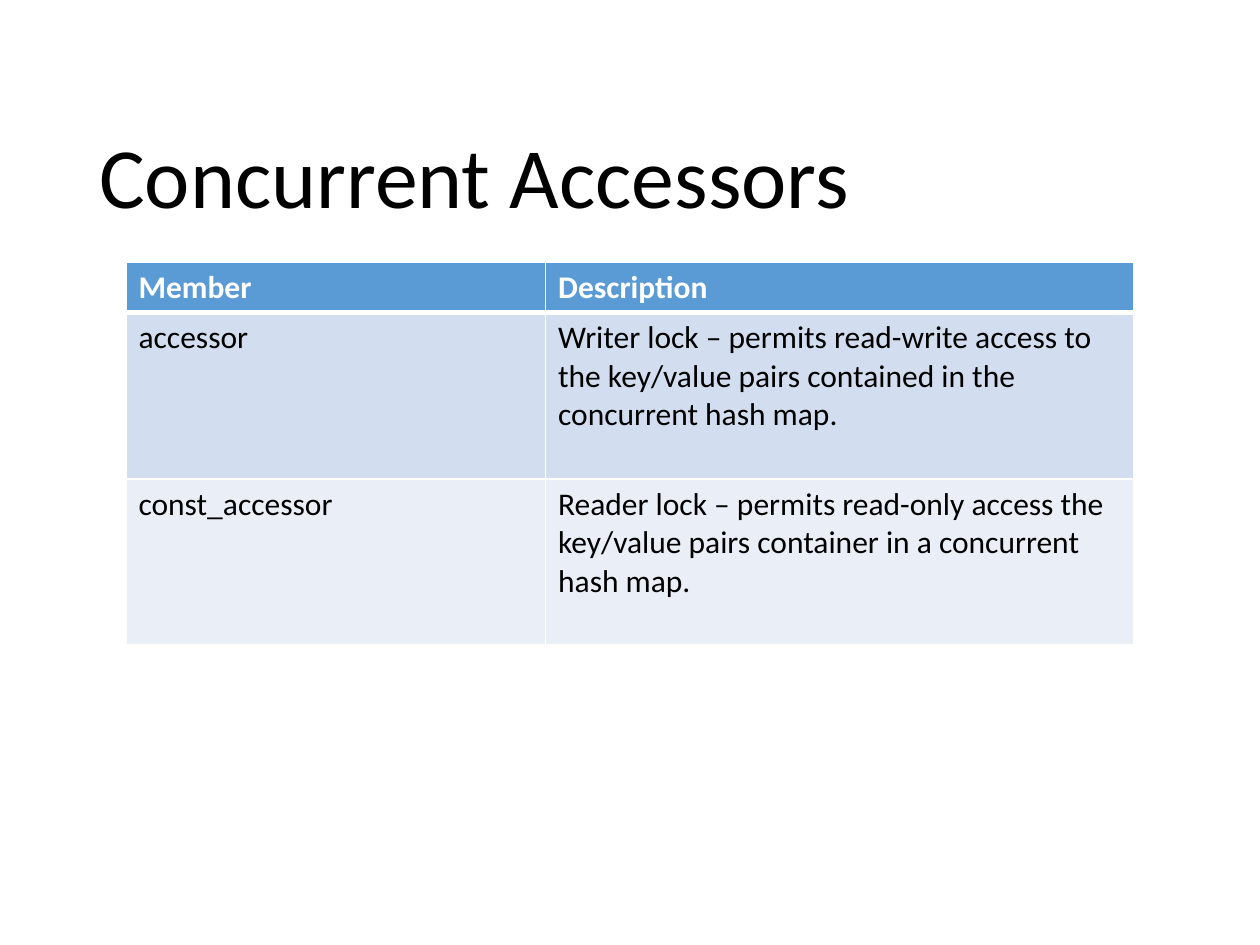
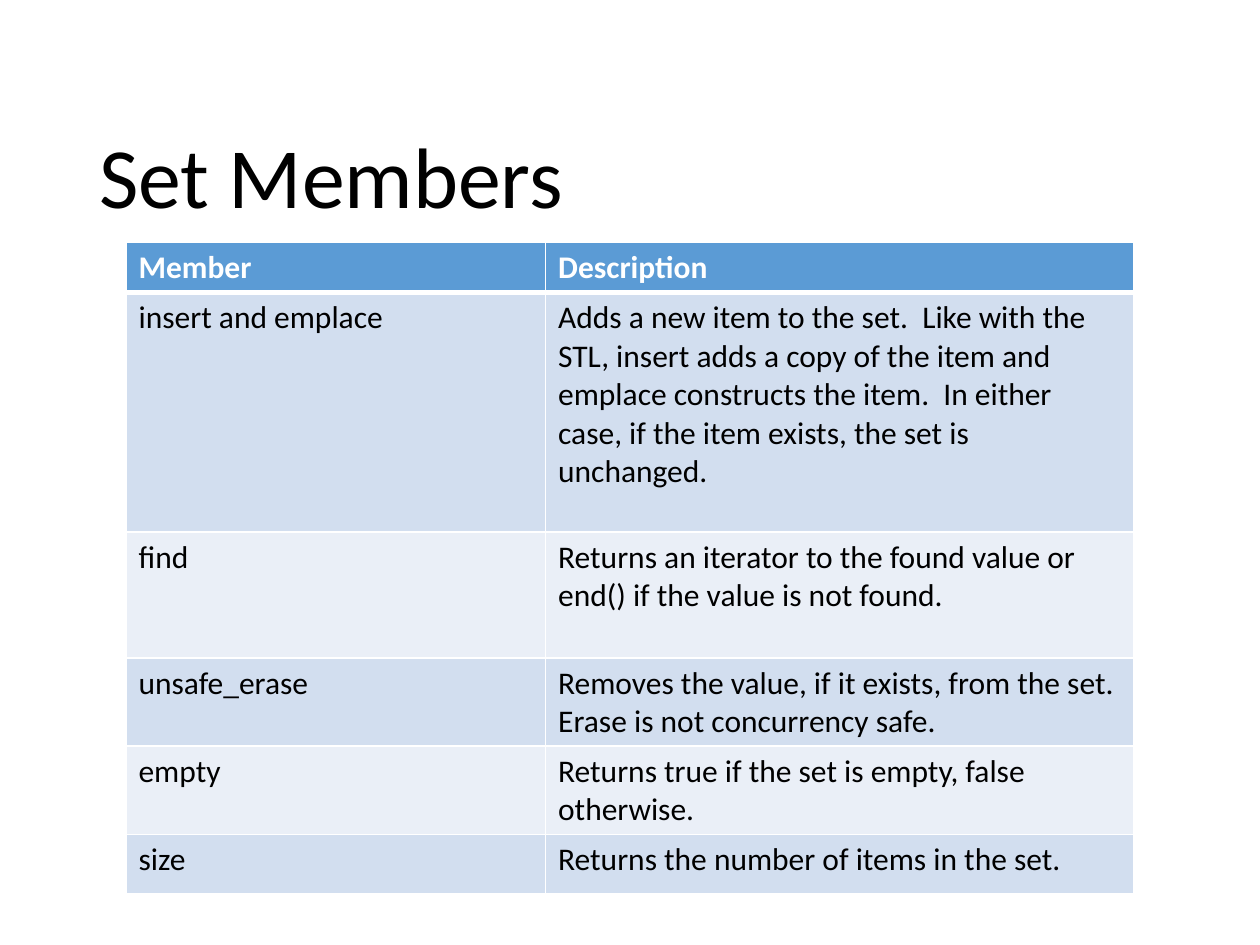
from lxml import etree
from pptx import Presentation
from pptx import util as u
from pptx.dml.color import RGBColor
from pptx.enum import text
from pptx.oxml import ns

WHITE, BLACK, BLUE = "FFFFFF", "000000", "5B9BD5"
BANDS = ("D2DEEF", "EAEFF7")
TITLE = {"name": "Calibri", "size": u.Pt(49), "bold": False}
BODY = {"name": "Calibri", "size": u.Pt(18), "bold": False}
HEAD = {**BODY, "bold": True}
COLUMNS = (3.33, 4.67)


def rgb(value):
    return RGBColor.from_string(value)


def set_border(cell, side, width):
    """Draw a white line on one side (L, R, T or B); call before the cell fill."""
    ln = etree.SubElement(cell._tc.get_or_add_tcPr(), ns.qn(f"a:ln{side}"),
                          w=str(u.Pt(width)))
    fill = etree.SubElement(ln, ns.qn("a:solidFill"))
    etree.SubElement(fill, ns.qn("a:srgbClr"), val=WHITE)


class Deck:
    def __init__(self):
        self.prs = Presentation()
        self.prs.slide_width, self.prs.slide_height = u.Inches(10), u.Inches(7.5)
        self.s = None

    def add_slide(self, title):
        self.s = self.prs.slides.add_slide(self.prs.slide_layouts[6])
        box = self.s.shapes.add_textbox(*map(u.Inches, (0.69, 0.4, 8.62, 1.45)))
        tf = box.text_frame
        tf.word_wrap = True
        tf.vertical_anchor = text.MSO_ANCHOR.BOTTOM
        tf.paragraphs[0].line_spacing = 0.9
        self.add_text(tf, title, TITLE, BLACK)

    def add_text(self, tf, words, style, color):
        r = tf.paragraphs[0].add_run()
        r.text = words
        for key, value in style.items():
            setattr(r.font, key, value)
        r.font.color.rgb = rgb(color)

    def add_member_table(self, top, members):
        """Each member is (name, description, row height in inches)."""
        rows = [("Member", "Description", 0.4), *members]
        height = sum(row[-1] for row in rows)
        table = self.s.shapes.add_table(
            len(rows), len(COLUMNS),
            *map(u.Inches, (1, top, sum(COLUMNS), height))).table
        for column, width in zip(table.columns, COLUMNS):
            column.width = u.Inches(width)
        for i, (*words, row_height) in enumerate(rows):
            table.rows[i].height = u.Inches(row_height)
            for j, word in enumerate(words):
                self.fill_cell(table.cell(i, j), i, word)

    def fill_cell(self, cell, row, words):
        header = row == 0
        widths = {"L": 1, "R": 1, "T": 3 if row == 1 else 1, "B": 3 if header else 1}
        for side, width in widths.items():
            set_border(cell, side, width)
        cell.fill.solid()
        cell.fill.fore_color.rgb = rgb(BLUE if header else BANDS[(row - 1) % 2])
        self.add_text(cell.text_frame, words, HEAD if header else BODY,
                      WHITE if header else BLACK)


def main():
    deck = Deck()

    deck.add_slide("Concurrent Accessors")
    deck.add_member_table(2.08, [
        ("accessor", "Writer lock – permits read-write access to the key/value "
         "pairs contained in the concurrent hash map.", 1.32),
        ("const_accessor", "Reader lock – permits read-only access the key/value "
         "pairs container in a concurrent hash map.", 1.32),
    ])

    deck.add_slide("Set Members")
    deck.add_member_table(1.92, [
        ("insert and emplace", "Adds a new item to the set.  Like with the STL, "
         "insert adds a copy of the item and emplace constructs the item.  In "
         "either case, if the item exists, the set is unchanged.", 1.9),
        ("find", "Returns an iterator to the found value or end() if the value "
         "is not found.", 1),
        ("unsafe_erase", "Removes the value, if it exists, from the set.  Erase "
         "is not concurrency safe.", 0.7),
        ("empty", "Returns true if the set is empty, false otherwise.", 0.7),
        ("size", "Returns the number of items in the set.", 0.47),
    ])

    deck.prs.save("out.pptx")


if __name__ == "__main__":
    main()
